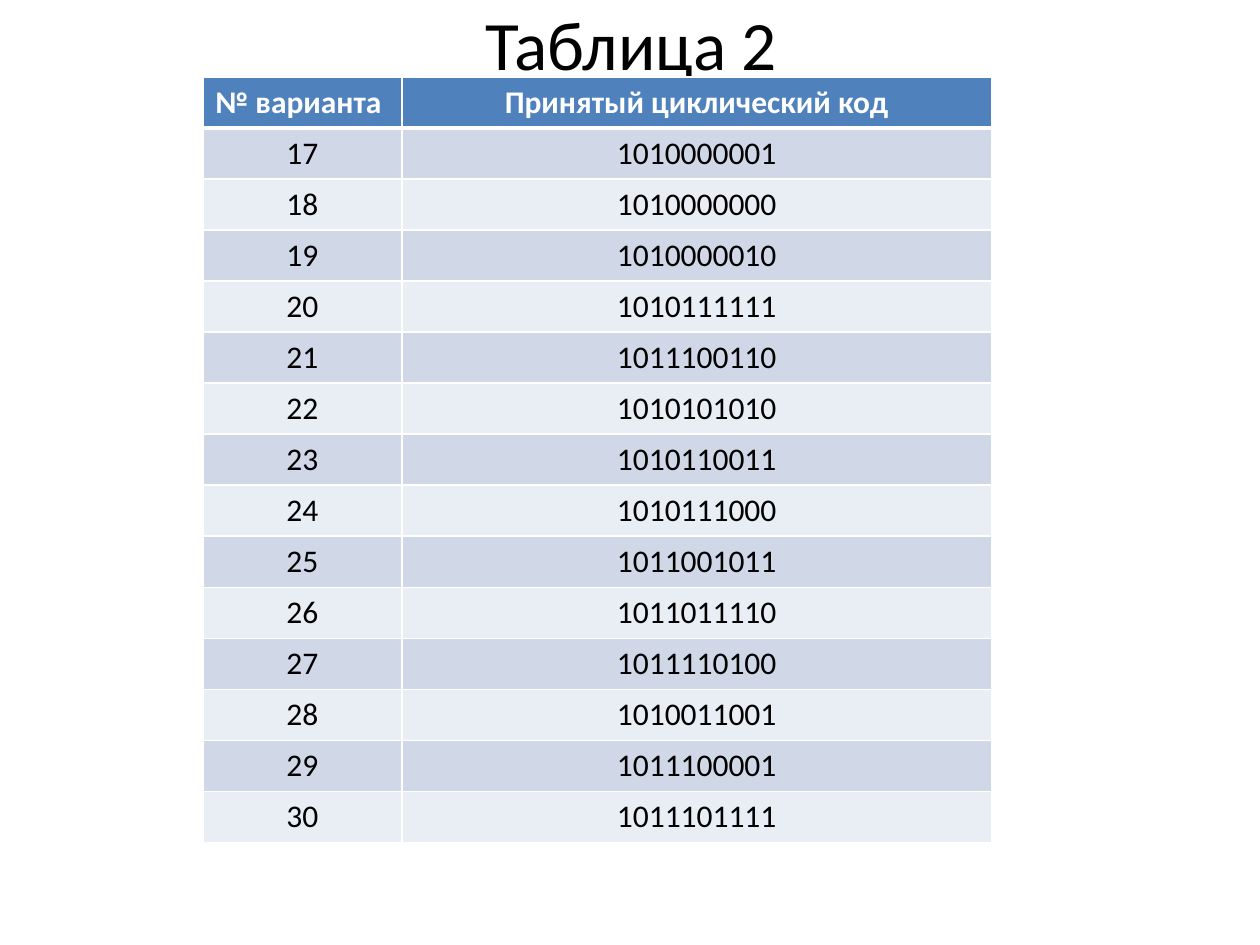
from lxml.etree import SubElement
from pptx import Presentation
from pptx.dml.color import RGBColor
from pptx.enum.text import MSO_ANCHOR as Anchor, PP_ALIGN as Align
from pptx.oxml.ns import qn
from pptx.util import Inches, Pt

FONT = "Calibri"
COLORS = {"head": "4F81BD", "odd": "D0D8E8", "even": "E9EDF4",
          "text": "000000", "white": "FFFFFF"}
WIDTH, HEIGHT = Inches(10), Inches(7.5)
COLUMNS = (Inches(1.58), Inches(4.68))
ROW_HEIGHT = Inches(6.08 / 15)
HEADER = ("№ варианта", "Принятый циклический код")
FIRST_VARIANT = 17
CODES = ("1010000001", "1010000000", "1010000010", "1010111111", "1011100110",
         "1010101010", "1010110011", "1010111000", "1011001011", "1011011110",
         "1011110100", "1010011001", "1011100001", "1011101111")


def rgb(name):
    """Return the named colour."""
    return RGBColor.from_string(COLORS[name])


def style_paragraph(p, size, color, align=Align.CENTER, bold=False):
    """Set the font and alignment of a paragraph."""
    p.alignment = align
    p.font.name, p.font.size, p.font.bold = FONT, Pt(size), bold
    p.font.color.rgb = rgb(color)


def add_title(slide, text):
    """Add the centred title, 90 % of the slide wide."""
    s = slide.shapes.add_textbox(Inches(0.51), 0, int(WIDTH * 0.9), int(HEIGHT * 0.09))
    tf = s.text_frame
    tf.word_wrap, tf.vertical_anchor = True, Anchor.MIDDLE
    p = tf.paragraphs[0]
    p.text = text
    style_paragraph(p, 39.6, "text")


def set_borders(cell, bottom):
    """Draw white cell borders, 1 pt except for the given bottom width."""
    tc_pr = cell._tc.get_or_add_tcPr()
    for i, (side, width) in enumerate((("L", 1), ("R", 1), ("T", 1), ("B", bottom))):
        ln = SubElement(tc_pr, qn(f"a:ln{side}"), w=str(Pt(width)))
        fill = SubElement(ln, qn("a:solidFill"))
        SubElement(fill, qn("a:srgbClr"), val=COLORS["white"])
        tc_pr.insert(i, ln)


def fill_cell(cell, text, fill, color="text", align=Align.CENTER, bold=False, bottom=1):
    """Write and colour one table cell."""
    cell.text = text
    cell.fill.solid()
    cell.fill.fore_color.rgb = rgb(fill)
    style_paragraph(cell.text_frame.paragraphs[0], 18, color, align, bold)
    set_borders(cell, bottom)


def add_code_table(slide):
    """Add the table of variants and their codes."""
    n = len(CODES) + 1
    table = slide.shapes.add_table(n, len(COLUMNS), Inches(1.61), Inches(0.61),
                                   sum(COLUMNS), ROW_HEIGHT * n).table
    for column, width in zip(table.columns, COLUMNS):
        column.width = width
    for row in table.rows:
        row.height = ROW_HEIGHT
    for c, (text, align) in enumerate(zip(HEADER, (Align.LEFT, Align.CENTER))):
        fill_cell(table.cell(0, c), text, "head", "white", align, bold=True, bottom=3)
    for r, code in enumerate(CODES, 1):
        for c, text in enumerate((str(FIRST_VARIANT + r - 1), code)):
            fill_cell(table.cell(r, c), text, "odd" if r % 2 else "even")
    for c in range(len(COLUMNS)):
        top = table.cell(1, c)._tc.tcPr.find(qn("a:lnT"))
        top.set("w", str(Pt(3)))


def main():
    """Build the slide and save it."""
    prs = Presentation()
    prs.slide_width, prs.slide_height = WIDTH, HEIGHT
    slide = prs.slides.add_slide(prs.slide_layouts[6])
    add_title(slide, "Таблица 2")
    add_code_table(slide)
    prs.save("out.pptx")


main()
